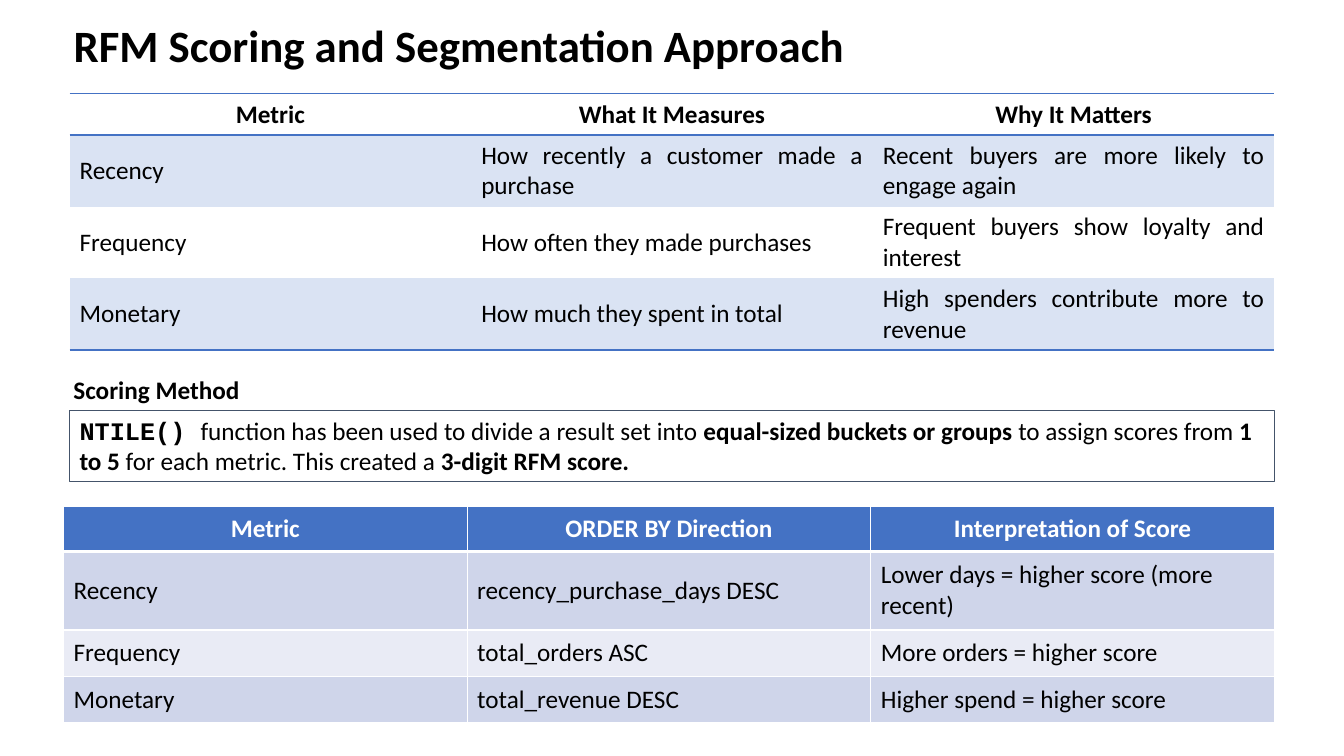
from dataclasses import dataclass

from lxml import etree
from pptx import Presentation
from pptx.dml.color import RGBColor
from pptx.enum import shapes, text
from pptx.oxml import ns
from pptx.util import Inches, Pt

TITLE = "RFM Scoring and Segmentation Approach"
METRICS = [
    ("Metric", "What It Measures", "Why It Matters"),
    ("Recency", "How recently a customer made a purchase",
     "Recent buyers are more likely to engage again"),
    ("Frequency", "How often they made purchases",
     "Frequent buyers show loyalty and interest"),
    ("Monetary", "How much they spent in total",
     "High spenders contribute more to revenue"),
]
METHOD_HEADING = "Scoring Method"
METHOD = [
    ("NTILE() ", True),
    ("function has been used to divide a result set into ", False),
    ("equal-sized buckets or groups ", True),
    ("to assign scores from ", False),
    ("1 to 5", True),
    (" for each metric. This created a ", False),
    ("3-digit RFM score.", True),
]
SCORES = [
    ("Metric", "ORDER BY Direction", "Interpretation of Score"),
    ("Recency", "recency_purchase_days DESC", "Lower days = higher score (more recent)"),
    ("Frequency", "total_orders ASC", "More orders = higher score"),
    ("Monetary", "total_revenue DESC", "Higher spend = higher score"),
]


@dataclass(frozen=True)
class Theme:
    font: str = "Calibri"
    code_font: str = "Courier New"
    title_size: int = 32
    body_size: int = 18
    black: str = "000000"
    white: str = "FFFFFF"
    accent: str = "4472C4"
    outline: str = "44546A"
    pale: str = "DAE3F3"
    band_dark: str = "CFD5EA"
    band_light: str = "E9EBF5"


THEME = Theme()
PLAIN_TABLE_STYLE = "{2D5ABB26-0587-4C30-8999-92F81FD0307C}"


def style_run(run, size=THEME.body_size, bold=False, color=THEME.black, font=THEME.font):
    run.font.name = font
    run.font.size = Pt(size)
    run.font.bold = bold
    run.font.color.rgb = RGBColor.from_string(color)


def set_borders(cell, borders):
    properties = cell._tc.get_or_add_tcPr()
    for side in "LRTB":
        color, width = borders.get(side, (None, 0))
        line = etree.SubElement(properties, ns.qn(f"a:ln{side}"), w=str(Pt(width)))
        if color is None:
            etree.SubElement(line, ns.qn("a:noFill"))
        else:
            fill = etree.SubElement(line, ns.qn("a:solidFill"))
            etree.SubElement(fill, ns.qn("a:srgbClr"), val=color)


def add_grid(page, rows, left, top, width, heights, body_align, look):
    frame = page.shapes.add_table(
        len(rows), len(rows[0]), Inches(left), Inches(top), Inches(width), Inches(sum(heights)))
    table = frame.table
    frame._element.find(".//" + ns.qn("a:tableStyleId")).text = PLAIN_TABLE_STYLE
    for column in table.columns:
        column.width = Inches(width / len(rows[0]))
    for row_index, (words, height) in enumerate(zip(rows, heights)):
        table.rows[row_index].height = Inches(height)
        fill, color, borders = look(row_index)
        header = row_index == 0
        for column_index, wording in enumerate(words):
            cell = table.cell(row_index, column_index)
            set_borders(cell, borders)
            if fill:
                cell.fill.solid()
                cell.fill.fore_color.rgb = RGBColor.from_string(fill)
            else:
                cell.fill.background()
            cell.vertical_anchor = text.MSO_ANCHOR.MIDDLE
            para = cell.text_frame.paragraphs[0]
            para.text = wording
            para.alignment = text.PP_ALIGN.CENTER if header else body_align
            style_run(para.runs[0], bold=header, color=color)


def metrics_look(row):
    rule = (THEME.accent, 1)
    borders = {0: {"T": rule, "B": rule}, 1: {"T": rule}, len(METRICS) - 1: {"B": rule}}
    return THEME.pale if row % 2 else None, THEME.black, borders.get(row, {})


def scores_look(row):
    borders = {side: (THEME.white, 1) for side in "LRTB"}
    if row < 2:
        borders["T" if row else "B"] = (THEME.white, 3)
    if row == 0:
        return THEME.accent, THEME.white, borders
    return THEME.band_dark if row % 2 else THEME.band_light, THEME.black, borders


def add_title(page):
    title = page.shapes.title
    title.left, title.top, title.width, title.height = map(Inches, (0.63, 0.13, 11.45, 0.64))
    frame = title.text_frame
    frame.text = TITLE
    frame.auto_size = text.MSO_AUTO_SIZE.NONE
    frame.vertical_anchor = text.MSO_ANCHOR.TOP
    para = frame.paragraphs[0]
    para.alignment = text.PP_ALIGN.LEFT
    style_run(para.runs[0], THEME.title_size, True)


def add_method(page):
    heading = page.shapes.add_textbox(*map(Inches, (0.63, 3.66, 6.67, 0.4)))
    heading.text_frame.word_wrap = True
    heading.text_frame.text = METHOD_HEADING
    style_run(heading.text_frame.paragraphs[0].runs[0], bold=True)

    box = page.shapes.add_shape(
        shapes.MSO_SHAPE.RECTANGLE, *map(Inches, (0.69, 4.07, 11.95, 0.71)))
    box.shadow.inherit = False
    box.fill.solid()
    box.fill.fore_color.rgb = RGBColor.from_string(THEME.white)
    box.line.color.rgb = RGBColor.from_string(THEME.outline)
    box.line.width = Pt(1)
    box.text_frame.word_wrap = True
    box.text_frame.vertical_anchor = text.MSO_ANCHOR.TOP
    para = box.text_frame.paragraphs[0]
    para.alignment = text.PP_ALIGN.LEFT
    for wording, bold in METHOD:
        span = para.add_run()
        span.text = wording
        font = THEME.code_font if wording.startswith("NTILE") else THEME.font
        style_run(span, bold=bold, font=font)


def main():
    deck = Presentation()
    deck.slide_width, deck.slide_height = Inches(13.33), Inches(7.5)
    page = deck.slides.add_slide(deck.slide_layouts.get_by_name("Title Only"))
    add_title(page)
    add_grid(page, METRICS, 0.69, 0.93, 11.95, [0.41, 0.7, 0.7, 0.7],
             text.PP_ALIGN.JUSTIFY, metrics_look)
    add_method(page)
    add_grid(page, SCORES, 0.63, 5.02, 12.01, [0.45, 0.78, 0.46, 0.46],
             text.PP_ALIGN.LEFT, scores_look)
    deck.save("out.pptx")


if __name__ == "__main__":
    main()
